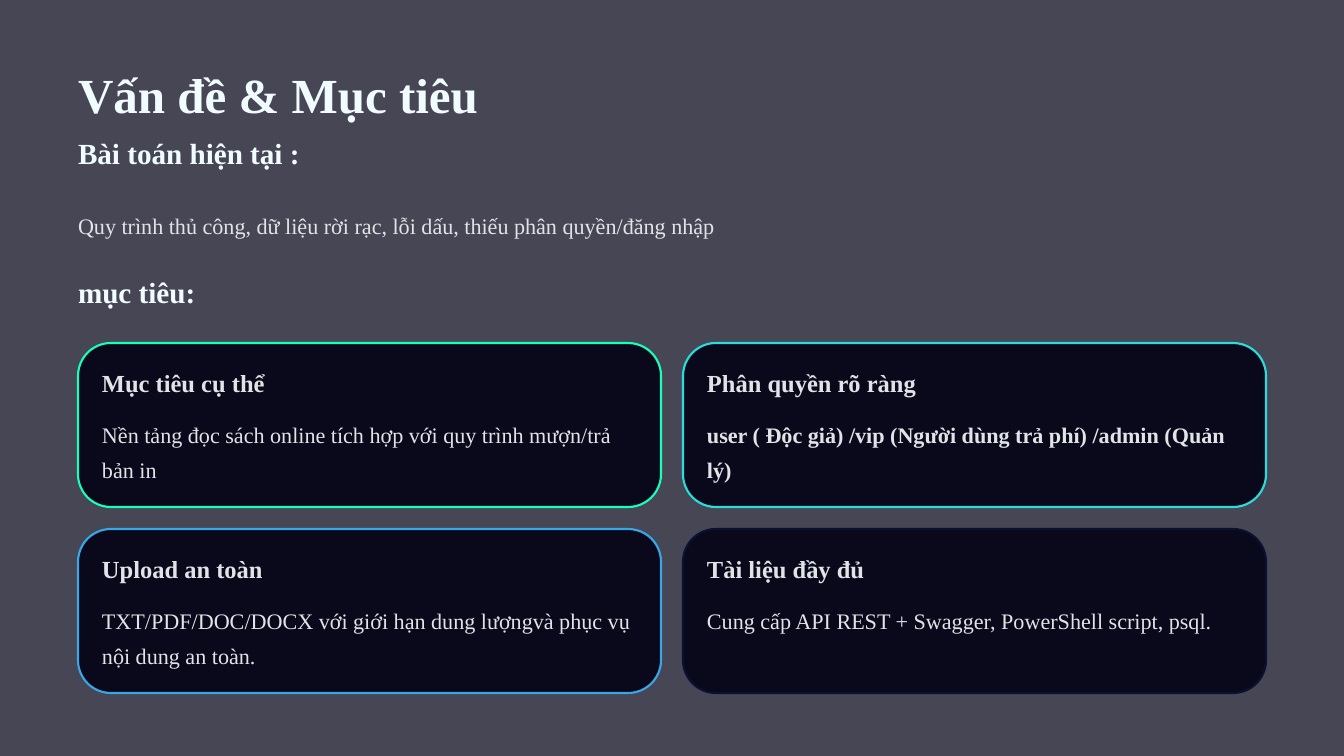
from dataclasses import dataclass

from pptx import Presentation
from pptx.dml.color import RGBColor
from pptx.enum.shapes import MSO_SHAPE
from pptx.enum.text import MSO_ANCHOR, MSO_AUTO_SIZE, PP_ALIGN
from pptx.util import Emu, Pt

FONT = "Times New Roman"
BACKGROUND = RGBColor(0x47, 0x46, 0x54)
CARD_FILL = RGBColor(0x0A, 0x08, 0x1B)
HEADING = RGBColor(0xF0, 0xFC, 0xFF)
TEXT = RGBColor(0xE0, 0xE4, 0xE6)
GREEN = RGBColor(0x16, 0xFF, 0xBB)
TEAL = RGBColor(0x29, 0xDD, 0xDA)
BLUE = RGBColor(0x37, 0xA7, 0xE7)
NAVY = RGBColor(0x09, 0x12, 0x31)

# Card grid, in px
LEFT, CARDS_TOP = 78, 343
CARD_WIDTH, CARD_HEIGHT = 583, 164
COLUMN_STEP, ROW_STEP = 605, 186
PADDING, BODY_OFFSET = 24, 69


@dataclass(frozen=True)
class Style:
    size: float
    leading: float
    color: RGBColor
    bold: bool = False


@dataclass(frozen=True)
class Line:
    text: str
    top: int
    width: int
    height: int
    style: Style


@dataclass(frozen=True)
class Card:
    title: str
    body: str
    border: RGBColor
    bold_body: bool = False


TITLE = Style(42, 52.5, HEADING, True)
SUBTITLE = Style(25, 31.5, HEADING, True)
BODY = Style(19, 30.5, TEXT)
BODY_BOLD = Style(19, 30.5, TEXT, True)
CARD_TITLE = Style(21, 26, TEXT, True)

LINES = [
    Line("Bài toán hiện tại :", 134, 297, 37, SUBTITLE),
    Line("Quy trình thủ công, dữ liệu rời rạc, lỗi dấu, thiếu phân quyền/đăng nhập",
         203, 1189, 35, BODY),
    Line("mục tiêu:", 273, 297, 37, SUBTITLE),
]

CARDS = [
    Card("Mục tiêu cụ thể",
         "Nền tảng đọc sách online tích hợp với quy trình mượn/trả bản in", GREEN),
    Card("Phân quyền rõ ràng",
         "user ( Độc giả) /vip (Người dùng trả phí) /admin (Quản lý)", TEAL, True),
    Card("Upload an toàn",
         "TXT/PDF/DOC/DOCX với giới hạn dung lượngvà phục vụ nội dung an toàn.", BLUE),
    Card("Tài liệu đầy đủ",
         "Cung cấp API REST + Swagger, PowerShell script, psql.", NAVY),
]


def px(length: int) -> Emu:
    return Emu(round(length * 914400 / 84))


def write(box, text: str, style: Style, wrap: bool = False) -> None:
    frame = box.text_frame
    frame.margin_left = frame.margin_right = 0
    frame.margin_top = frame.margin_bottom = 0
    frame.auto_size = MSO_AUTO_SIZE.NONE
    frame.vertical_anchor = MSO_ANCHOR.TOP
    frame.word_wrap = wrap
    para = frame.paragraphs[0]
    para.text = text
    para.alignment = PP_ALIGN.LEFT
    para.line_spacing = Pt(style.leading)
    para.font.name = FONT
    para.font.size = Pt(style.size)
    para.font.bold = style.bold
    para.font.color.rgb = style.color


def add_text(page, text: str, left: int, top: int, width: int, height: int,
             style: Style, wrap: bool = False) -> None:
    box = page.shapes.add_textbox(px(left), px(top), px(width), px(height))
    write(box, text, style, wrap)


def add_card(page, card: Card, left: int, top: int) -> None:
    panel = page.shapes.add_shape(MSO_SHAPE.ROUNDED_RECTANGLE, px(left), px(top),
                                  px(CARD_WIDTH), px(CARD_HEIGHT))
    panel.adjustments[0] = 0.2
    panel.shadow.inherit = False
    panel.fill.solid()
    panel.fill.fore_color.rgb = CARD_FILL
    panel.line.color.rgb = card.border
    panel.line.width = Pt(1.8)

    text_left = left + PADDING
    add_text(page, card.title, text_left, top + PADDING, 247, 31, CARD_TITLE)
    add_text(page, card.body, text_left, top + BODY_OFFSET,
             CARD_WIDTH - 2 * PADDING, 71,
             BODY_BOLD if card.bold_body else BODY, wrap=True)


def main() -> None:
    deck = Presentation()
    deck.slide_width, deck.slide_height = px(1344), px(756)
    page = deck.slides.add_slide(deck.slide_layouts[5])
    page.background.fill.solid()
    page.background.fill.fore_color.rgb = BACKGROUND

    # Title
    title = page.shapes.title
    title.left, title.top = px(LEFT), px(62)
    title.width, title.height = px(495), px(62)
    write(title, "Vấn đề & Mục tiêu", TITLE)

    # Problem and goal headings
    for line in LINES:
        add_text(page, line.text, LEFT, line.top, line.width, line.height, line.style)

    # Two-by-two grid of goals
    for index, card in enumerate(CARDS):
        row, column = divmod(index, 2)
        add_card(page, card, LEFT + column * COLUMN_STEP, CARDS_TOP + row * ROW_STEP)

    deck.save("out.pptx")


if __name__ == "__main__":
    main()
